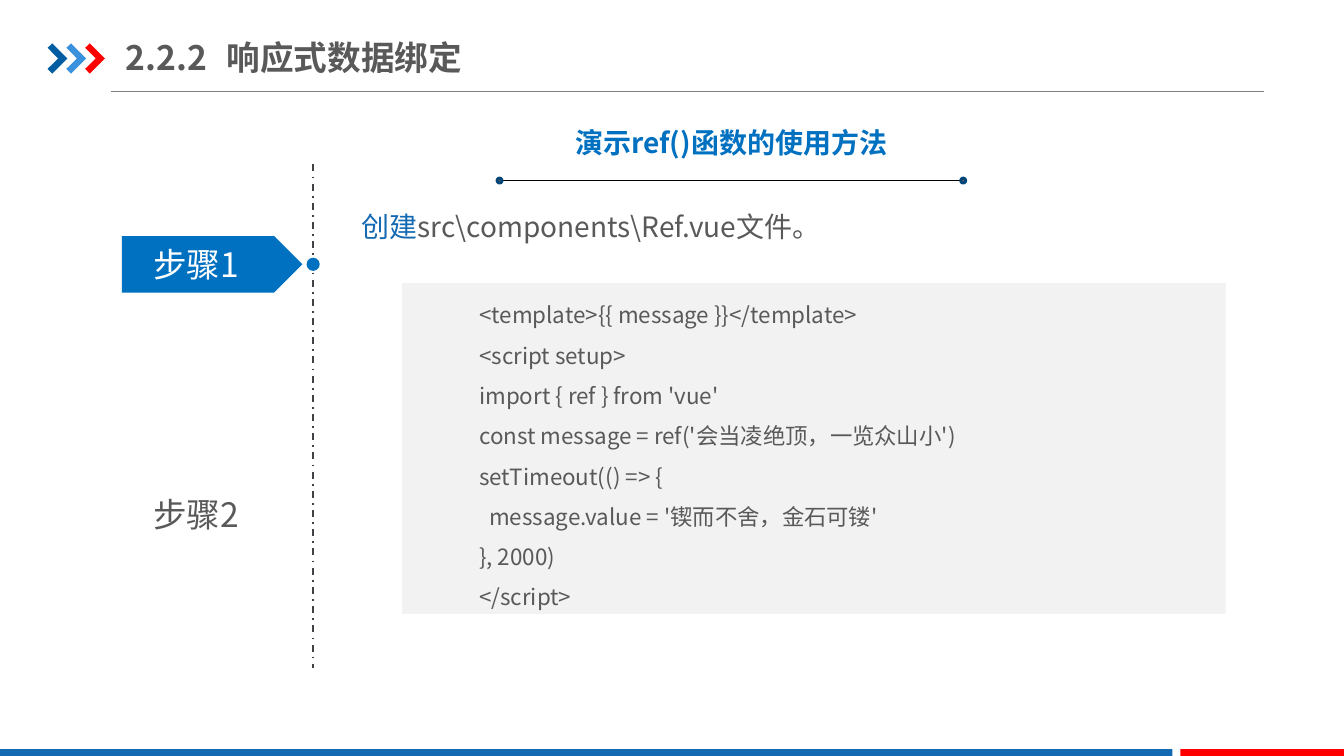
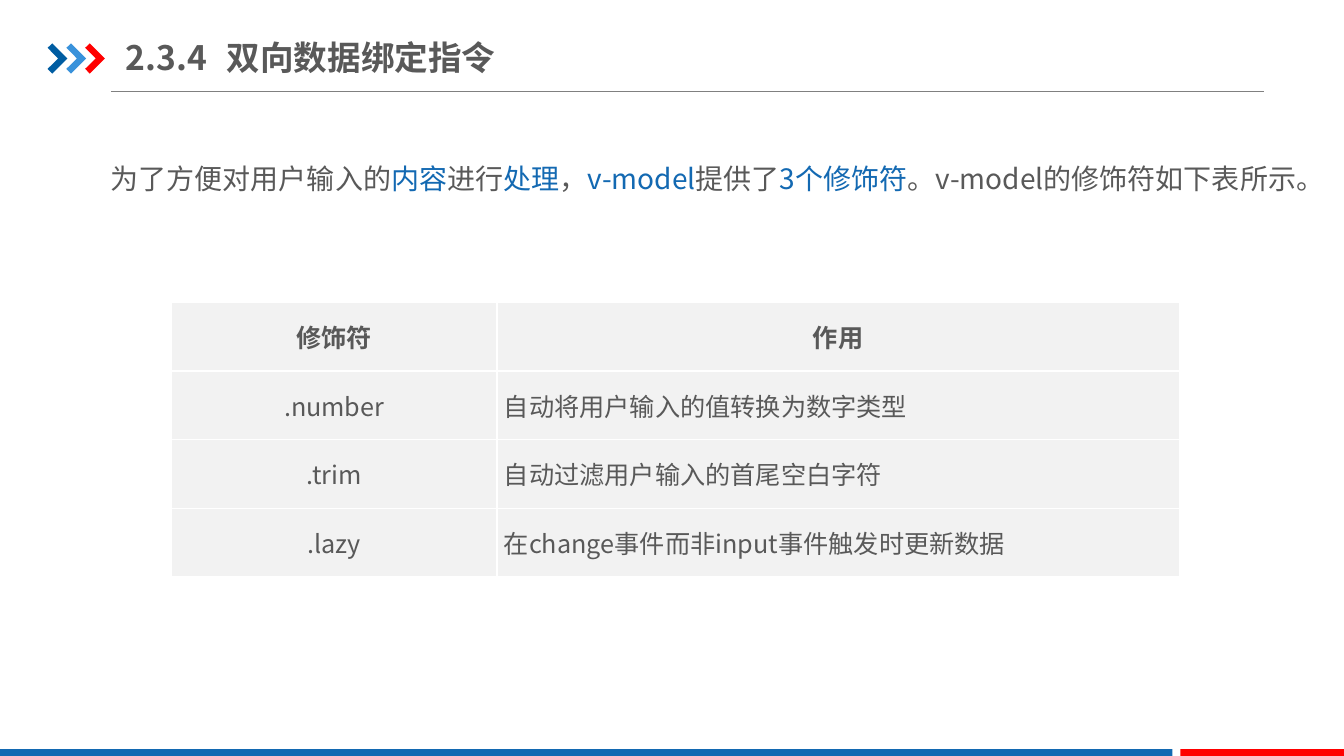
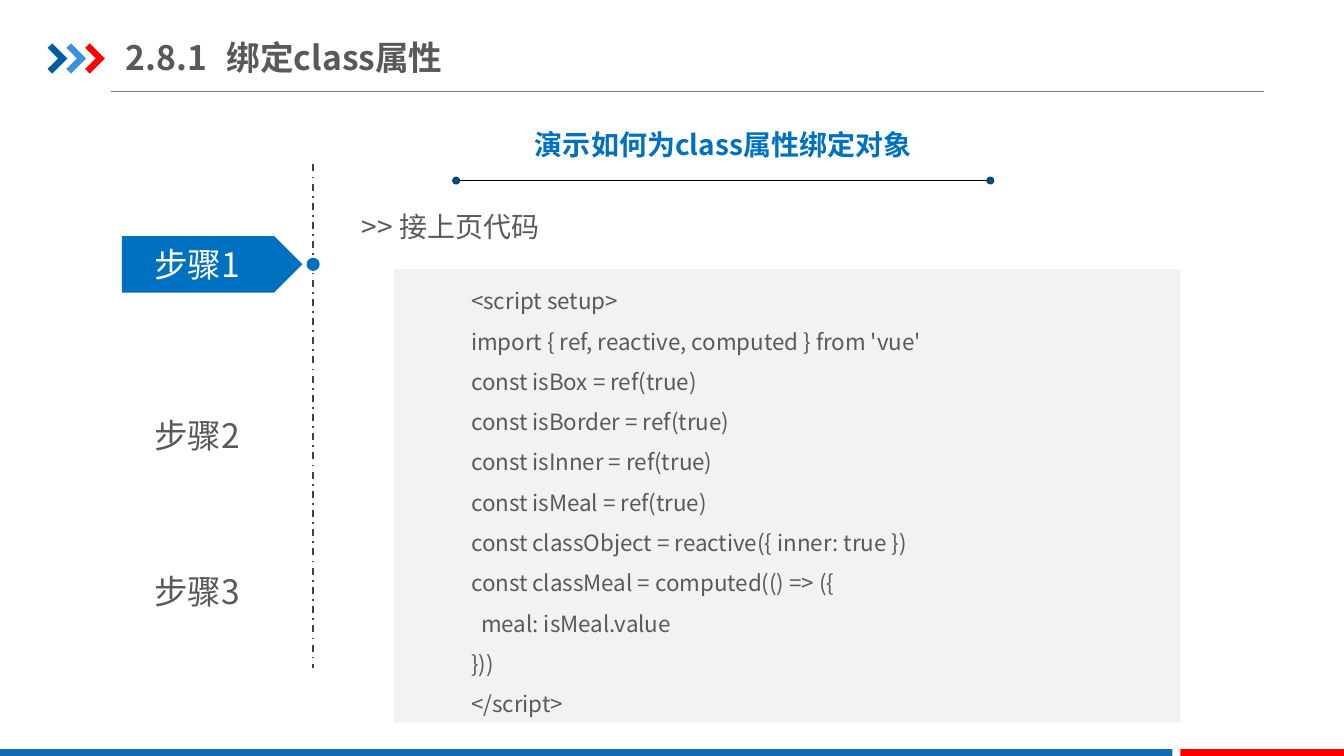
from dataclasses import dataclass

from lxml import etree
from pptx import Presentation
from pptx.dml.color import RGBColor
from pptx.enum.dml import MSO_LINE
from pptx.enum.shapes import MSO_CONNECTOR, MSO_SHAPE
from pptx.enum.text import MSO_ANCHOR, PP_ALIGN
from pptx.oxml.ns import qn
from pptx.util import Pt

RECTANGLE, OVAL, ARROW_TAG = MSO_SHAPE.RECTANGLE, MSO_SHAPE.OVAL, MSO_SHAPE.PENTAGON
STRAIGHT, DASH_DOT = MSO_CONNECTOR.STRAIGHT, MSO_LINE.DASH_DOT
LEFT, CENTER = PP_ALIGN.LEFT, PP_ALIGN.CENTER
TOP, MIDDLE = MSO_ANCHOR.TOP, MSO_ANCHOR.MIDDLE


@dataclass(frozen=True)
class Theme:
    font: str = "Noto Sans CJK SC"
    text: str = "595959"
    accent: str = "1369B2"
    step: str = "0070C0"
    panel: str = "F2F2F2"
    white: str = "FFFFFF"
    black: str = "000000"
    red: str = "FF0000"
    title_rule: str = "808080"
    timeline: str = "414146"
    rule_end: str = "004578"
    chevrons: tuple = ("005DA2", "3992DB", "FF0000")
    title_size: int = 24
    body_size: int = 20
    table_size: int = 18
    code_size: int = 16


THEME = Theme()
SLIDE_SIZE = (960, 540)
TIMELINE_X = 223.7
STEP_Y = 188.8

REF_DEMO = {
    "title": "2.2.2\t响应式数据绑定",
    "title_tab": 75,
    "heading": "演示ref()函数的使用方法",
    "heading_top": 86.4,
    "center": 522.4,
    "rule_width": 334.8,
    "steps_left": 81.4,
    "step_tops": [170.6, 349.2],
    "lead": [("创建", THEME.accent), ("src\\components\\Ref.vue文件。", THEME.text)],
    "panel": (287.3, 202.3, 588.2, 236.2),
    "code": [
        "<template>{{ message }}</template>",
        "<script setup>",
        "import { ref } from 'vue'",
        "const message = ref('会当凌绝顶，一览众山小')",
        "setTimeout(() => {",
        "  message.value = '锲而不舍，金石可镂'",
        "}, 2000)",
        "</script>",
    ],
}

MODIFIERS = {
    "title": "2.3.4\t双向数据绑定指令",
    "title_tab": 72,
    "intro": [
        ("为了方便对用户输入的", THEME.text),
        ("内容", THEME.accent),
        ("进行", THEME.text),
        ("处理", THEME.accent),
        ("，", THEME.text),
        ("v-model", THEME.accent),
        ("提供了", THEME.text),
        ("3个修饰符", THEME.accent),
        ("。v-model的修饰符如下表所示。", THEME.text),
    ],
    "rows": [
        ("修饰符", "作用"),
        (".number", "自动将用户输入的值转换为数字类型"),
        (".trim", "自动过滤用户输入的首尾空白字符"),
        (".lazy", "在change事件而非input事件触发时更新数据"),
    ],
    "column_widths": (232.6, 487.4),
    "row_height": 49,
}

CLASS_DEMO = {
    "title": "2.8.1\t绑定class属性",
    "title_tab": 72,
    "heading": "演示如何为class属性绑定对象",
    "heading_top": 87.8,
    "center": 516.6,
    "rule_width": 385.2,
    "steps_left": 82.1,
    "step_tops": [170.6, 293, 403.9],
    "lead": [(">> 接上页代码", THEME.text)],
    "panel": (281.5, 192.2, 561.6, 324),
    "code": [
        "<script setup>",
        "import { ref, reactive, computed } from 'vue'",
        "const isBox = ref(true)",
        "const isBorder = ref(true)",
        "const isInner = ref(true)",
        "const isMeal = ref(true)",
        "const classObject = reactive({ inner: true })",
        "const classMeal = computed(() => ({",
        "  meal: isMeal.value",
        "}))",
        "</script>",
    ],
}


def rgb(color):
    return RGBColor.from_string(color)


def add_span(para, text, color, size, bold=False):
    span = para.add_run()
    span.text = text
    for name, value in {"name": THEME.font, "size": Pt(size), "bold": bold}.items():
        setattr(span.font, name, value)
    span.font.color.rgb = rgb(color)
    east_asian = etree.SubElement(span.font._element, qn("a:ea"))
    east_asian.set("typeface", THEME.font)


def write(frame, paragraphs, size, bold=False, align=LEFT, spacing=None,
          indent=0, tab=None):
    """Fill a text frame; each paragraph is a list of (text, colour) spans."""
    frame.word_wrap = True
    for index, spans in enumerate(paragraphs):
        para = frame.add_paragraph() if index else frame.paragraphs[0]
        properties = para._p.get_or_add_pPr()
        properties.set("marL", str(Pt(indent)))
        properties.set("indent", "0")
        if tab:
            stops = etree.SubElement(properties, qn("a:tabLst"))
            etree.SubElement(stops, qn("a:tab"), pos=str(Pt(tab)), algn="l")
        para.alignment = align
        if spacing:
            para.line_spacing = spacing
        for text, color in spans:
            add_span(para, text, color, size, bold)


def add_text(page, area, spans, size, **options):
    box = page.shapes.add_textbox(*map(Pt, area))
    write(box.text_frame, [spans], size, **options)
    return box


def add_solid(page, kind, area, fill, line=None, width=0):
    shape = page.shapes.add_shape(kind, *map(Pt, area))
    paint(shape, fill)
    if line:
        shape.line.color.rgb = rgb(line)
        shape.line.width = Pt(width)
    return shape


def paint(shape, fill):
    shape.shadow.inherit = False
    shape.fill.solid()
    shape.fill.fore_color.rgb = rgb(fill)
    shape.line.fill.background()


def add_dot(page, x, y, diameter, fill, line=None, width=0):
    area = (x - diameter / 2, y - diameter / 2, diameter, diameter)
    add_solid(page, OVAL, area, fill, line, width)


def add_line(page, start, end, color, width, dash=None):
    line = page.shapes.add_connector(STRAIGHT, *map(Pt, start + end))
    line.line.color.rgb = rgb(color)
    line.line.width = Pt(width)
    if dash:
        line.line.dash_style = dash
    etree.SubElement(line._element.spPr, qn("a:effectLst"))


def add_chevrons(page):
    left, top, pitch = 34, 31, 13.4
    outline = [(0, 3.2), (3.4, 0), (14.2, 10.8), (3.4, 21.6), (0, 18.2), (7.6, 10.8)]
    for index, color in enumerate(THEME.chevrons):
        points = [(Pt(left + index * pitch + x), Pt(top + y)) for x, y in outline]
        builder = page.shapes.build_freeform(*points[0])
        builder.add_line_segments(points[1:], close=True)
        paint(builder.convert_to_shape(), color)


def add_page(deck, content):
    """Add a slide with the shared title, rule, chevrons and footer bands."""
    page = deck.slides.add_slide(deck.slide_layouts[6])
    add_line(page, (79.2, 65.4), (902.9, 65.4), THEME.title_rule, 0.75)
    add_chevrons(page)
    for left, right, color in ((0, 837.4, THEME.accent), (843.1, 960, THEME.red)):
        add_solid(page, RECTANGLE, (left, 535, right - left, 6.5), color)
    title = add_text(page, (90, 20.9, 306.7, 39.6), [(content["title"], THEME.text)],
                     THEME.title_size, bold=True, tab=content["title_tab"])
    margins = {"margin_left": 0, "margin_right": 0, "margin_top": Pt(5),
               "margin_bottom": Pt(5), "vertical_anchor": MIDDLE}
    for name, value in margins.items():
        setattr(title.text_frame, name, value)
    return page


def add_steps(page, content):
    add_line(page, (TIMELINE_X, 117.4), (TIMELINE_X, 477.4),
             THEME.timeline, 1.25, DASH_DOT)
    add_dot(page, TIMELINE_X, STEP_Y, 9.4, THEME.step)
    tag_height = 40.4
    add_solid(page, ARROW_TAG, (87.1, STEP_Y - tag_height / 2, 128.9, tag_height),
              THEME.step)
    for number, top in enumerate(content["step_tops"], 1):
        color = THEME.white if number == 1 else THEME.text
        add_text(page, (content["steps_left"], top, 117.4, 36),
                 [(f"步骤{number}", color)], THEME.title_size, align=CENTER)


def add_heading(page, content):
    width, rule_y, dot = content["rule_width"], 129, 3.6
    left = content["center"] - width / 2
    add_text(page, (left, content["heading_top"], width, 31.5),
             [(content["heading"], THEME.step)], THEME.body_size,
             bold=True, align=CENTER)
    ends = (left + dot / 2, left + width - dot / 2)
    add_line(page, (ends[0], rule_y), (ends[1], rule_y), THEME.black, 0.75)
    for x in ends:
        add_dot(page, x, rule_y, dot, THEME.text, THEME.rule_end, 2)


def build_demo(deck, content):
    page = add_page(deck, content)
    add_steps(page, content)
    add_heading(page, content)
    add_text(page, (251.3, 133.9, 665.3, 44), content["lead"], THEME.body_size,
             spacing=1.5)
    panel = add_solid(page, RECTANGLE, content["panel"], THEME.panel)
    panel.text_frame.vertical_anchor = TOP
    write(panel.text_frame, [[(line, THEME.text)] for line in content["code"]],
          THEME.code_size, spacing=1.5, indent=48)


def add_borders(cell):
    properties = cell._tc.get_or_add_tcPr()
    for side in ("a:lnL", "a:lnR", "a:lnT", "a:lnB"):
        border = etree.SubElement(properties, qn(side), w=str(Pt(1)))
        fill = etree.SubElement(border, qn("a:solidFill"))
        etree.SubElement(fill, qn("a:srgbClr"), val=THEME.white)


def build_modifiers(deck, content):
    page = add_page(deck, content)
    rows, widths = content["rows"], content["column_widths"]
    area = (122.4, 216, sum(widths), content["row_height"] * len(rows))
    table = page.shapes.add_table(len(rows), len(widths), *map(Pt, area)).table
    table.first_row = table.horz_banding = False
    for column, width in zip(table.columns, widths):
        column.width = Pt(width)
    cell_format = {"margin_left": Pt(5), "margin_right": Pt(5), "margin_top": 0,
                   "margin_bottom": 0, "vertical_anchor": MIDDLE}
    for row_index, row in enumerate(rows):
        table.rows[row_index].height = Pt(content["row_height"])
        for column_index, text in enumerate(row):
            cell = table.cell(row_index, column_index)
            for name, value in cell_format.items():
                setattr(cell, name, value)
            add_borders(cell)
            cell.fill.solid()
            cell.fill.fore_color.rgb = rgb(THEME.panel)
            is_header = row_index == 0
            align = CENTER if is_header or column_index == 0 else LEFT
            write(cell.text_frame, [[(text, THEME.text)]], THEME.table_size,
                  bold=is_header, align=align)
    add_text(page, (72, 100.1, 861.8, 80), content["intro"], THEME.body_size,
             spacing=1.5)


def main():
    deck = Presentation()
    deck.slide_width, deck.slide_height = map(Pt, SLIDE_SIZE)
    build_demo(deck, REF_DEMO)
    build_modifiers(deck, MODIFIERS)
    build_demo(deck, CLASS_DEMO)
    deck.save("out.pptx")


if __name__ == "__main__":
    main()
